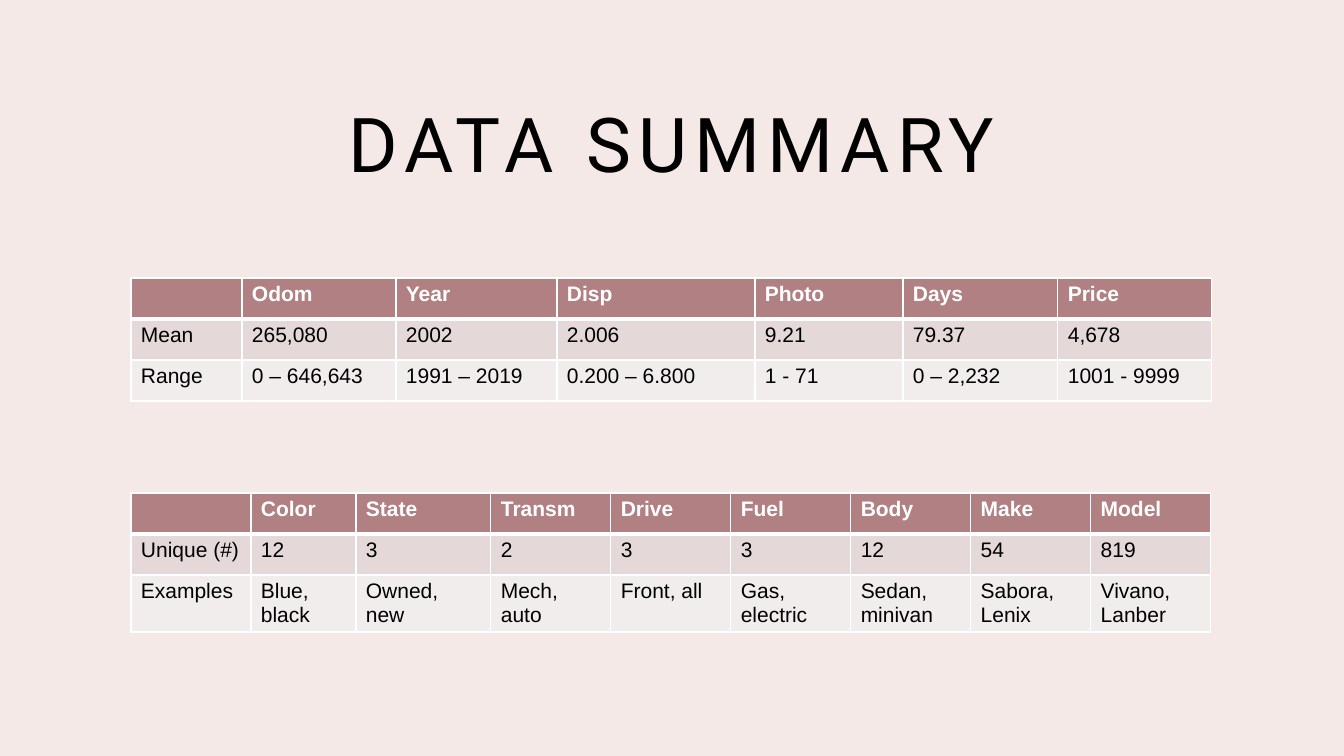
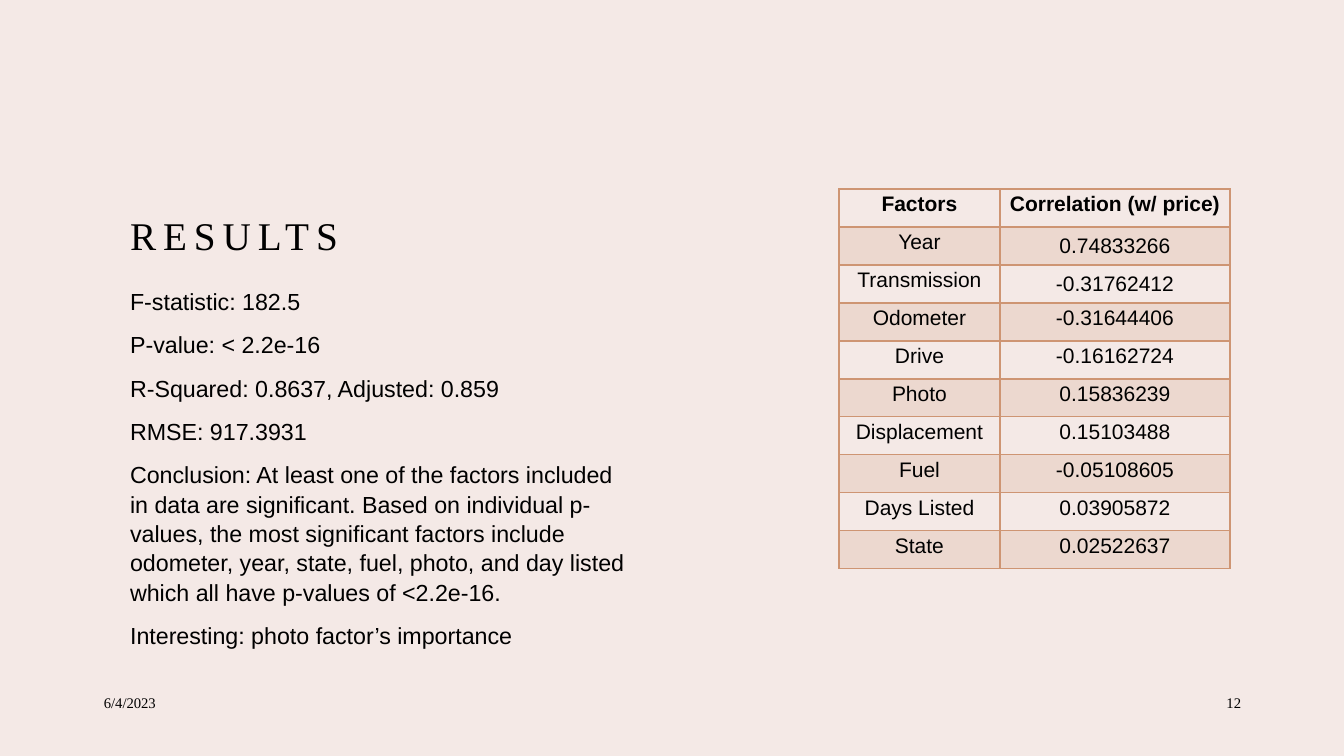
from lxml.etree import SubElement
from pptx import Presentation
from pptx.dml.color import RGBColor
from pptx.enum.text import MSO_ANCHOR as ANCHOR, MSO_AUTO_SIZE as AUTO, PP_ALIGN as ALIGN
from pptx.oxml.ns import qn
from pptx.util import Pt

PX = 12192000 / 1344  # EMU per px on a slide 1344 px wide
COLORS = {
    "ground": "F4E9E6",
    "ink": "000000",
    "white": "FFFFFF",
    "rose": "B18083",
    "rose_band": "E4D8D9",
    "rose_pale": "F2EDED",
    "copper": "CE9573",
}
SANS, SERIF, DISPLAY = "Arial", "Times New Roman", "Roboto"
TITLE_ONLY, TITLE_AND_BODY = 5, 1

# Fills are (colour, opacity in percent) or None; bands alternate below the header.
ROSE_TABLE = {
    "header": ("rose", 100), "header_text": "white",
    "bands": [("rose_band", 100), ("rose_pale", 100)],
    "border": "white", "rule": 3, "align": ALIGN.LEFT, "margins": (10, 5),
}
COPPER_TABLE = {
    "header": None, "header_text": "ink",
    "bands": [("copper", 20), None],
    "border": "copper", "rule": 2, "align": ALIGN.CENTER, "margins": (9, 4),
}


def px(length):
    return round(length * PX)


def rgb(color):
    return RGBColor.from_string(COLORS[color])


class Deck:
    """Holds the shared style and the slide being filled."""

    def __init__(self):
        self.prs = Presentation()
        self.prs.slide_width, self.prs.slide_height = px(1344), px(756)
        ground = self.prs.slide_master.background.fill
        ground.solid()
        ground.fore_color.rgb = rgb("ground")
        self.slide = None

    def new_slide(self, layout):
        self.slide = self.prs.slides.add_slide(self.prs.slide_layouts[layout])

    def style(self, paragraph, font, size, color="ink", bold=False, align=ALIGN.LEFT):
        paragraph.alignment = align
        face = paragraph.font
        face.name, face.size, face.bold = font, Pt(size), bold
        face.color.rgb = rgb(color)

    def place(self, holder, box, anchor):
        holder.left, holder.top, holder.width, holder.height = map(px, box)
        frame = holder.text_frame
        frame.word_wrap, frame.auto_size = True, AUTO.NONE
        frame.vertical_anchor = anchor
        return frame

    def title(self, text, box, font, size, align=ALIGN.LEFT):
        frame = self.place(self.slide.shapes.title, box, ANCHOR.MIDDLE)
        frame.text = text
        heading = frame.paragraphs[0]
        heading.line_spacing = 1.2
        self.style(heading, font, size, align=align)
        heading.runs[0].font._element.set("spc", "500")

    def body(self, lines, box):
        frame = self.place(self.slide.placeholders[1], box, ANCHOR.TOP)
        frame.text = "\n".join(lines)
        for index, line in enumerate(frame.paragraphs):
            line.space_before = Pt(10 if index else 0)
            line.line_spacing = 1.05
            props = line._p.get_or_add_pPr()
            props.set("marL", "0")
            props.set("indent", "0")
            SubElement(props, qn("a:buNone"))
            self.style(line, SANS, 16.6)

    def footer(self, text, box, align=ALIGN.LEFT):
        note = self.slide.shapes.add_textbox(*map(px, box))
        frame = self.place(note, box, ANCHOR.MIDDLE)
        frame.text = text
        self.style(frame.paragraphs[0], SERIF, 10.5, align=align)

    def fill_cell(self, cell, fill):
        if fill is None:
            cell.fill.background()
            return
        color, opacity = fill
        cell.fill.solid()
        cell.fill.fore_color.rgb = rgb(color)
        if opacity < 100:
            tint = cell._tc.tcPr.find(qn("a:solidFill"))[0]
            SubElement(tint, qn("a:alpha"), val=str(opacity * 1000))

    def border_cell(self, cell, color, top, bottom):
        """Draw all four edges; the side edges are 1 pt wide."""
        props = cell._tc.get_or_add_tcPr()
        edges = (("L", 1), ("R", 1), ("T", top), ("B", bottom))
        for index, (side, width) in enumerate(edges):
            edge = SubElement(props, qn(f"a:ln{side}"), w=str(Pt(width)))
            paint = SubElement(edge, qn("a:solidFill"))
            SubElement(paint, qn("a:srgbClr"), val=COLORS[color])
            props.insert(index, edge)

    def set_margins(self, cell, side, end):
        cell.margin_left = cell.margin_right = px(side)
        cell.margin_top = cell.margin_bottom = px(end)

    def table(self, rows, left, top, widths, heights, look):
        frame = self.slide.shapes.add_table(
            len(rows), len(widths), px(left), px(top), px(sum(widths)), px(sum(heights)))
        grid = frame.table
        grid.first_row = grid.horz_banding = False
        for column, width in zip(grid.columns, widths):
            column.width = px(width)
        for r, (row, height) in enumerate(zip(rows, heights)):
            grid.rows[r].height = px(height)
            header = r == 0
            fill = look["header"] if header else look["bands"][(r - 1) % 2]
            for c, text in enumerate(row):
                cell = grid.cell(r, c)
                cell.text = text
                self.set_margins(cell, *look["margins"])
                self.style(cell.text_frame.paragraphs[0], SANS, 15,
                           look["header_text"] if header else "ink", header, look["align"])
                self.fill_cell(cell, fill)
                self.border_cell(cell, look["border"],
                                 top=look["rule"] if r == 1 else 1,
                                 bottom=look["rule"] if header else 1)
        return grid


def data_summary(deck):
    deck.new_slide(TITLE_ONLY)
    deck.title("DATA SUMMARY", (143, 61, 1058, 144), DISPLAY, 54, ALIGN.CENTER)
    numeric = [
        ["", "Odom", "Year", "Disp", "Photo", "Days", "Price"],
        ["Mean", "265,080", "2002", "2.006", "9.21", "79.37", "4,678"],
        ["Range", "0 – 646,643", "1991 – 2019", "0.200 – 6.800", "1 - 71", "0 – 2,232",
         "1001 - 9999"],
    ]
    deck.table(numeric, 131, 278, [111, 154, 161, 198, 148, 155, 154], [41] * 3, ROSE_TABLE)
    categorical = [
        ["", "Color", "State", "Transm", "Drive", "Fuel", "Body", "Make", "Model"],
        ["Unique (#)", "12", "3", "2", "3", "3", "12", "54", "819"],
        ["Examples", "Blue, black", "Owned, new", "Mech, auto", "Front, all",
         "Gas, electric", "Sedan, minivan", "Sabora, Lenix", "Vivano, Lanber"],
    ]
    deck.table(categorical, 131, 493, [120, 105, 135] + [120] * 6, [41, 41, 57], ROSE_TABLE)


def results(deck):
    deck.new_slide(TITLE_AND_BODY)
    deck.title("RESULTS", (120, 143, 620, 175), SERIF, 28)
    deck.body([
        "F-statistic: 182.5",
        "P-value: < 2.2e-16",
        "R-Squared: 0.8637, Adjusted: 0.859",
        "RMSE: 917.3931",
        "Conclusion: At least one of the factors included in data are significant. "
        "Based on individual p-values, the most significant factors include odometer, "
        "year, state, fuel, photo, and day listed which all have p-values of <2.2e-16.",
        "Interesting: photo factor’s importance",
    ], (120, 281, 514, 381))
    deck.footer("6/4/2023", (94, 683, 302, 40))
    deck.footer("12", (1182, 683, 69, 40), ALIGN.RIGHT)
    correlations = [
        ("Factors", "Correlation (w/ price)"),
        ("Year", "0.74833266"),
        ("Transmission", "-0.31762412"),
        ("Odometer", "-0.31644406"),
        ("Drive", "-0.16162724"),
        ("Photo", "0.15836239"),
        ("Displacement", "0.15103488"),
        ("Fuel", "-0.05108605"),
        ("Days Listed", "0.03905872"),
        ("State", "0.02522637"),
    ]
    grid = deck.table(correlations, 839, 189, [161, 230], [38] * len(correlations),
                      COPPER_TABLE)
    for r in (1, 2):
        strongest = grid.cell(r, 1)
        strongest.vertical_anchor = ANCHOR.MIDDLE
        deck.set_margins(strongest, 4, 1)


def main():
    deck = Deck()
    data_summary(deck)
    results(deck)
    deck.prs.save("out.pptx")


if __name__ == "__main__":
    main()
